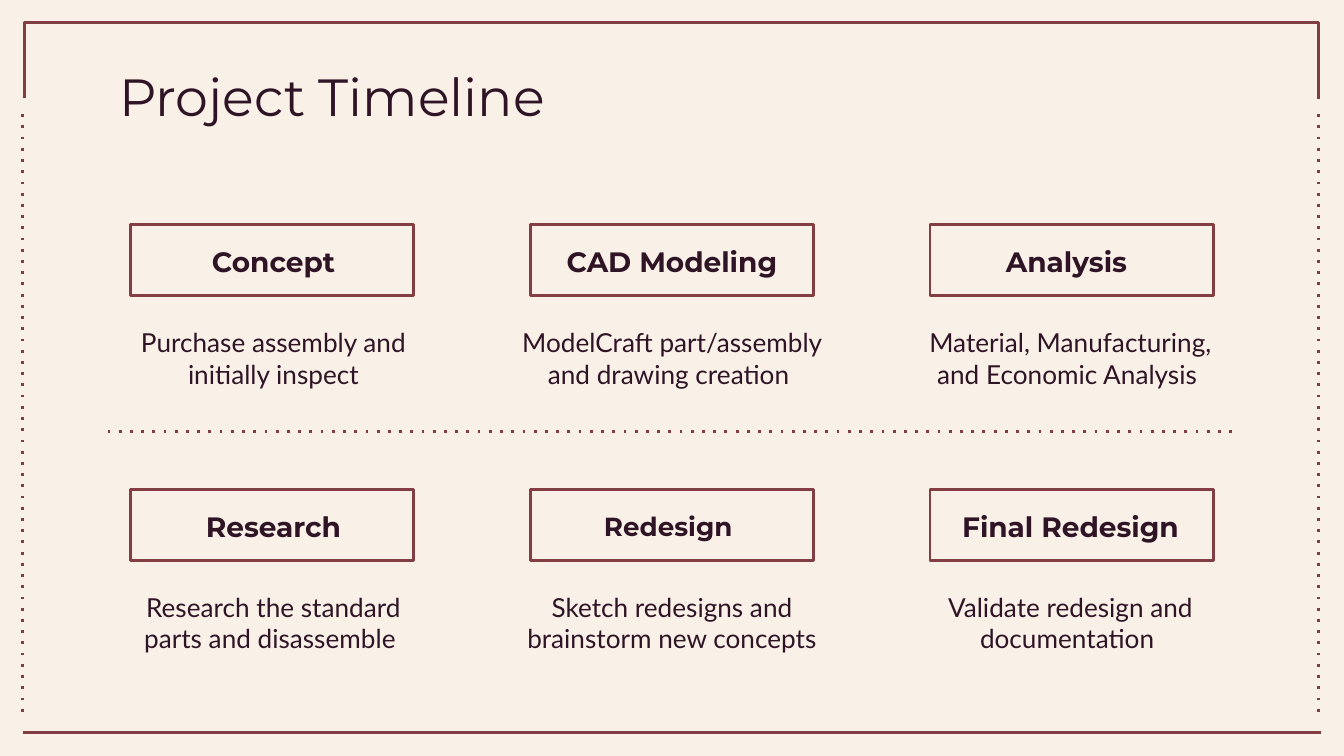
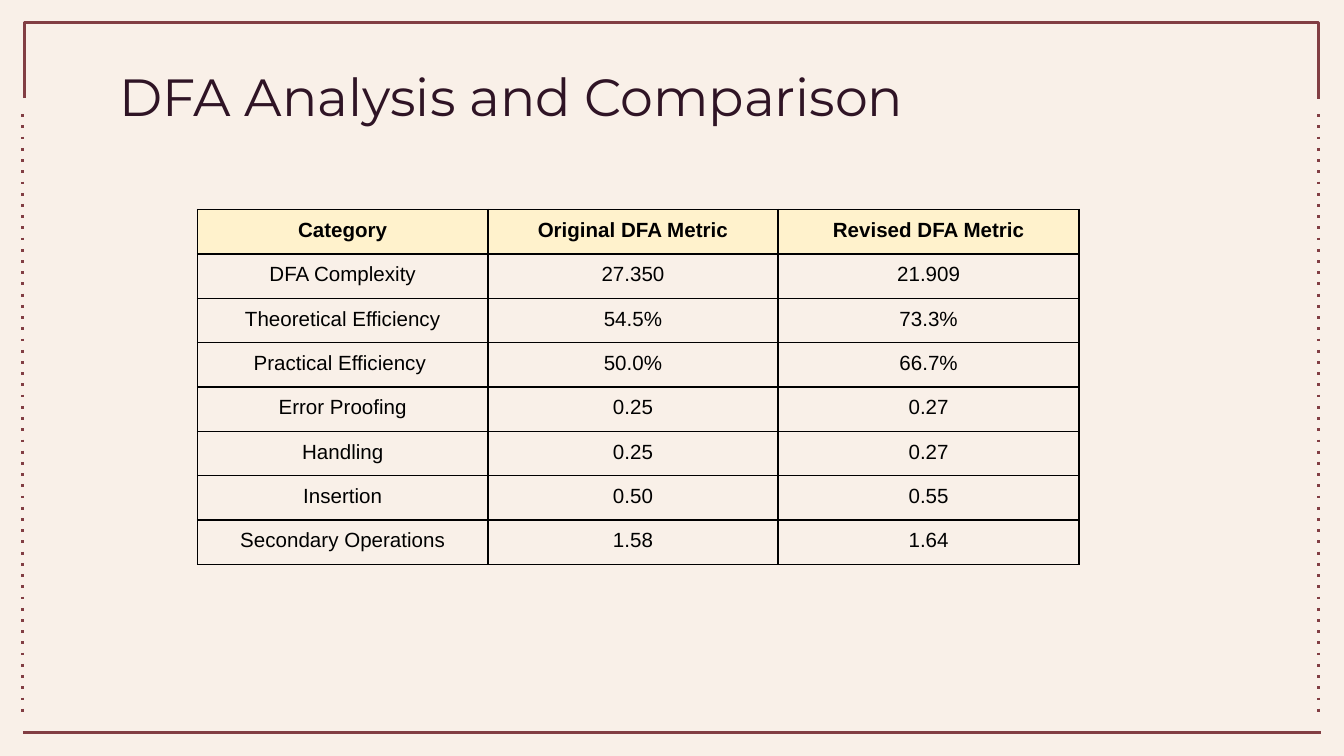
from dataclasses import dataclass

from lxml import etree
from pptx import Presentation
from pptx import util as u
from pptx.dml.color import RGBColor
from pptx.enum import dml, shapes, text
from pptx.oxml.ns import qn


@dataclass(frozen=True)
class Theme:
    """Colours, fonts and type sizes shared by the slides."""
    background: str = "F9F0E8"
    accent: str = "823E43"
    ink: str = "2F1425"
    table_ink: str = "000000"
    header_fill: str = "FFF2CC"
    heading_font: str = "Montserrat"
    body_font: str = "Lato"
    table_font: str = "Arial"
    title_size: float = 28
    label_size: float = 15
    small_label_size: float = 14
    body_size: float = 14
    table_size: float = 11
    line_width: float = 1.5
    border_width: float = 1


THEME = Theme()
SLIDE_WIDTH = u.Inches(10)
SLIDE_HEIGHT = SLIDE_WIDTH * 9 // 16
TITLE_BOX = (0.79, 0.38, 8.43, 0.63)
FRAME_BOX = (0.17, 0.17, 9.64, 5.28)
TIMELINE_BOX = (0.81, 1.67, 8.38, 3.36)
TABLE_BOX = (1.47, 1.56, 6.56, 2.64)

STAGES = [
    [("Concept", "Purchase assembly and initially inspect", THEME.label_size),
     ("CAD Modeling", "ModelCraft part/assembly and drawing creation ", THEME.label_size),
     ("Analysis ", "Material, Manufacturing, and Economic Analysis ", THEME.label_size)],
    [("Research", "Research the standard parts and disassemble ", THEME.label_size),
     ("Redesign ", "Sketch redesigns and brainstorm new concepts", THEME.small_label_size),
     ("Final Redesign", "Validate redesign and documentation ", THEME.label_size)],
]

METRICS = [
    ("Category", "Original DFA Metric", "Revised DFA Metric"),
    ("DFA Complexity", "27.350", "21.909"),
    ("Theoretical Efficiency", "54.5%", "73.3%"),
    ("Practical Efficiency ", "50.0%", "66.7%"),
    ("Error Proofing", "0.25", "0.27"),
    ("Handling", "0.25", "0.27"),
    ("Insertion", "0.50", "0.55"),
    ("Secondary Operations", "1.58", "1.64"),
]
COLUMN_WIDTHS = (2.16, 2.16, 2.24)


def inches(values):
    """Convert a sequence of numbers to lengths."""
    return [u.Inches(value) for value in values]


def spread(start, span, size, count):
    """Return the starts of equally spaced items that fill a span."""
    step = (span - size) / (count - 1)
    return [start + index * step for index in range(count)]


def write_text(frame, content, font, size, color=THEME.ink, bold=False,
               align=text.PP_ALIGN.LEFT, inset=0.1):
    """Write one formatted paragraph into a text frame or table cell."""
    frame.margin_left = frame.margin_right = u.Inches(inset)
    frame.margin_top = frame.margin_bottom = u.Inches(inset)
    paragraph = getattr(frame, "text_frame", frame).paragraphs[0]
    paragraph.alignment = align
    run = paragraph.add_run()
    run.text = content
    run.font.name = font
    run.font.size = u.Pt(size)
    run.font.bold = bold
    run.font.color.rgb = RGBColor.from_string(color)


def add_text(slide, box, content, anchor=text.MSO_ANCHOR.TOP, **text_format):
    """Add a wrapping text box."""
    frame = slide.shapes.add_textbox(*inches(box)).text_frame
    frame.word_wrap = True
    frame.vertical_anchor = anchor
    write_text(frame, content, **text_format)


def style_line(line):
    """Give a line the accent colour and width."""
    line.color.rgb = RGBColor.from_string(THEME.accent)
    line.width = u.Pt(THEME.line_width)


def style_outline(shape):
    """Leave a shape with only its accent outline."""
    shape.shadow.inherit = False
    shape.fill.background()
    style_line(shape.line)


def add_line(slide, start, end, dotted=False):
    """Add a straight accent line."""
    line = slide.shapes.add_connector(
        shapes.MSO_CONNECTOR.STRAIGHT, *inches(start + end))
    style_line(line.line)
    properties = line._element.spPr
    if dotted:
        line.line.dash_style = dml.MSO_LINE.ROUND_DOT
        properties.find(f".//{qn('a:prstDash')}").set("val", "dot")
    etree.SubElement(properties, qn("a:effectLst"))


def add_frame(slide, box):
    """Draw the bracket, dotted sides and base line around a slide."""
    left, top, width, height = box
    right, bottom = left + width, top + height
    bracket_left, corner = left + 0.01, top + 0.56
    side_top, side_bottom = top + 0.68, bottom - 0.12
    builder = slide.shapes.build_freeform(*inches((bracket_left, corner)))
    builder.add_line_segments(
        [inches(point) for point in
         ((bracket_left, top), (right, top), (right, corner + 0.01))],
        close=False)
    style_outline(builder.convert_to_shape())
    for side in (left, right):
        add_line(slide, (side, side_top), (side, side_bottom), dotted=True)
    add_line(slide, (left, bottom), (right + 0.02, bottom))


def add_titled_slide(presentation, title):
    """Add a blank slide with the shared frame and title."""
    slide = presentation.slides.add_slide(presentation.slide_layouts[6])
    add_frame(slide, FRAME_BOX)
    add_text(slide, TITLE_BOX, title, font=THEME.heading_font, size=THEME.title_size)
    return slide


def add_stage(slide, box, outline_left, label, description, label_size):
    """Draw an outlined stage label with its description below."""
    left, top, width, height = box
    outline = slide.shapes.add_shape(
        shapes.MSO_SHAPE.RECTANGLE, *inches((outline_left, top, 2.11, 0.53)))
    style_outline(outline)
    add_text(slide, (left, top + 0.05, width, 0.45), label,
             anchor=text.MSO_ANCHOR.MIDDLE, font=THEME.heading_font,
             size=label_size, bold=True, align=text.PP_ALIGN.CENTER)
    add_text(slide, (left, top + 0.66, width, height - 0.66), description,
             font=THEME.body_font, size=THEME.body_size, align=text.PP_ALIGN.CENTER)


def add_timeline(slide, box):
    """Lay out the stages in a grid with a dotted divider."""
    left, top, width, height = box
    stage_width, stage_height = 2.45, 1.39
    columns = len(STAGES[0])
    text_lefts = spread(left, width, stage_width, columns)
    outline_lefts = spread(left + 0.16, width - 0.32, 2.11, columns)
    tops = spread(top, height, stage_height, len(STAGES))
    for stage_top, stages in zip(tops, STAGES):
        for text_left, outline_left, stage in zip(text_lefts, outline_lefts, stages):
            add_stage(slide, (text_left, stage_top, stage_width, stage_height),
                      outline_left, *stage)
    divider = top + 1.54
    add_line(slide, (left - 0.01, divider), (left + width + 0.02, divider), dotted=True)


def add_borders(cell):
    """Draw a solid border on each side of a table cell."""
    properties = cell._tc.get_or_add_tcPr()
    for side in ("lnL", "lnR", "lnT", "lnB"):
        border = etree.SubElement(properties, qn(f"a:{side}"),
                                  w=str(u.Pt(THEME.border_width)))
        fill = etree.SubElement(border, qn("a:solidFill"))
        etree.SubElement(fill, qn("a:srgbClr"), val=THEME.table_ink)


def add_metrics_table(slide, box):
    """Add the metrics table with a tinted header row."""
    table = slide.shapes.add_table(
        len(METRICS), len(COLUMN_WIDTHS), *inches(box)).table
    table.first_row = table.horz_banding = False
    for column, width in zip(table.columns, COLUMN_WIDTHS):
        column.width = u.Inches(width)
    for row, values in enumerate(METRICS):
        is_header = row == 0
        for column, value in enumerate(values):
            cell = table.cell(row, column)
            write_text(cell, value, font=THEME.table_font, size=THEME.table_size,
                       color=THEME.table_ink, bold=is_header,
                       align=text.PP_ALIGN.CENTER, inset=0.07)
            add_borders(cell)
            if is_header:
                cell.fill.solid()
                cell.fill.fore_color.rgb = RGBColor.from_string(THEME.header_fill)
            else:
                cell.fill.background()


def main():
    """Build and save the presentation."""
    presentation = Presentation()
    presentation.slide_width = SLIDE_WIDTH
    presentation.slide_height = SLIDE_HEIGHT
    background = presentation.slide_master.background.fill
    background.solid()
    background.fore_color.rgb = RGBColor.from_string(THEME.background)
    add_timeline(add_titled_slide(presentation, "Project Timeline"), TIMELINE_BOX)
    add_metrics_table(
        add_titled_slide(presentation, "DFA Analysis and Comparison"), TABLE_BOX)
    presentation.save("out.pptx")


if __name__ == "__main__":
    main()
